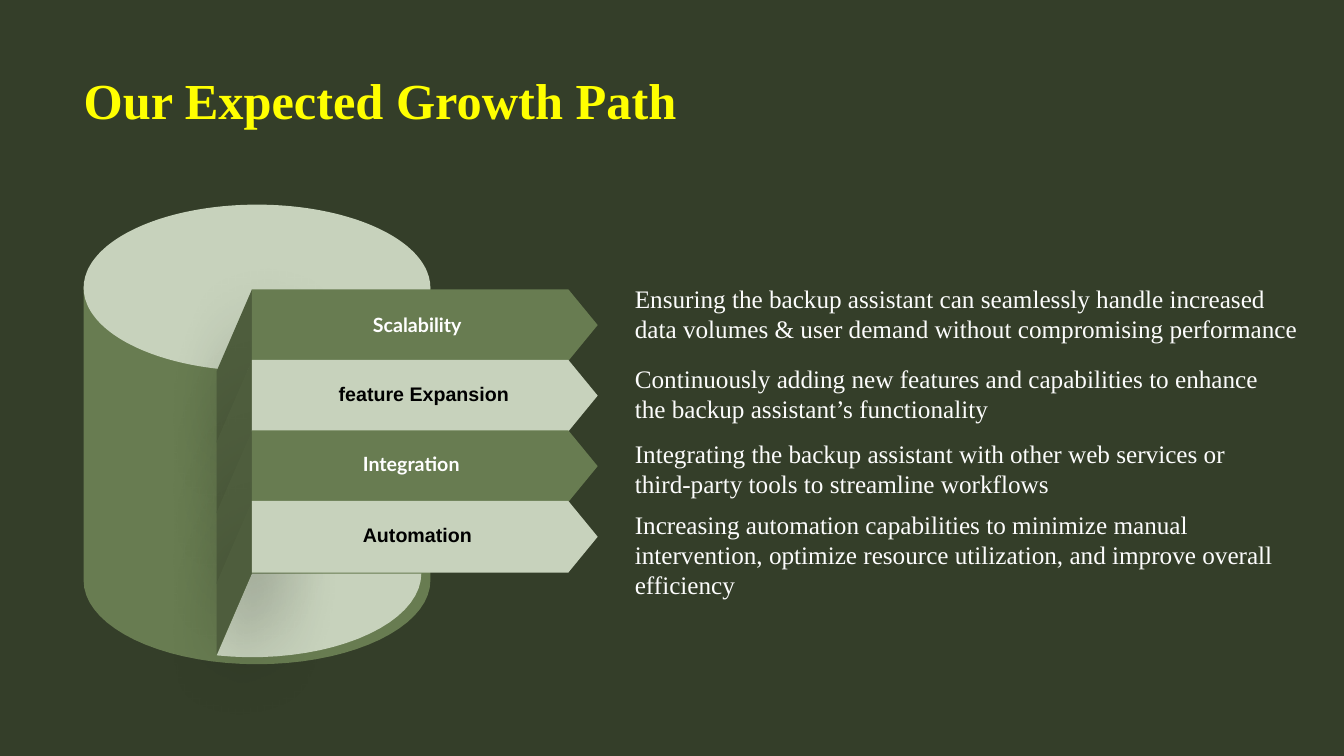
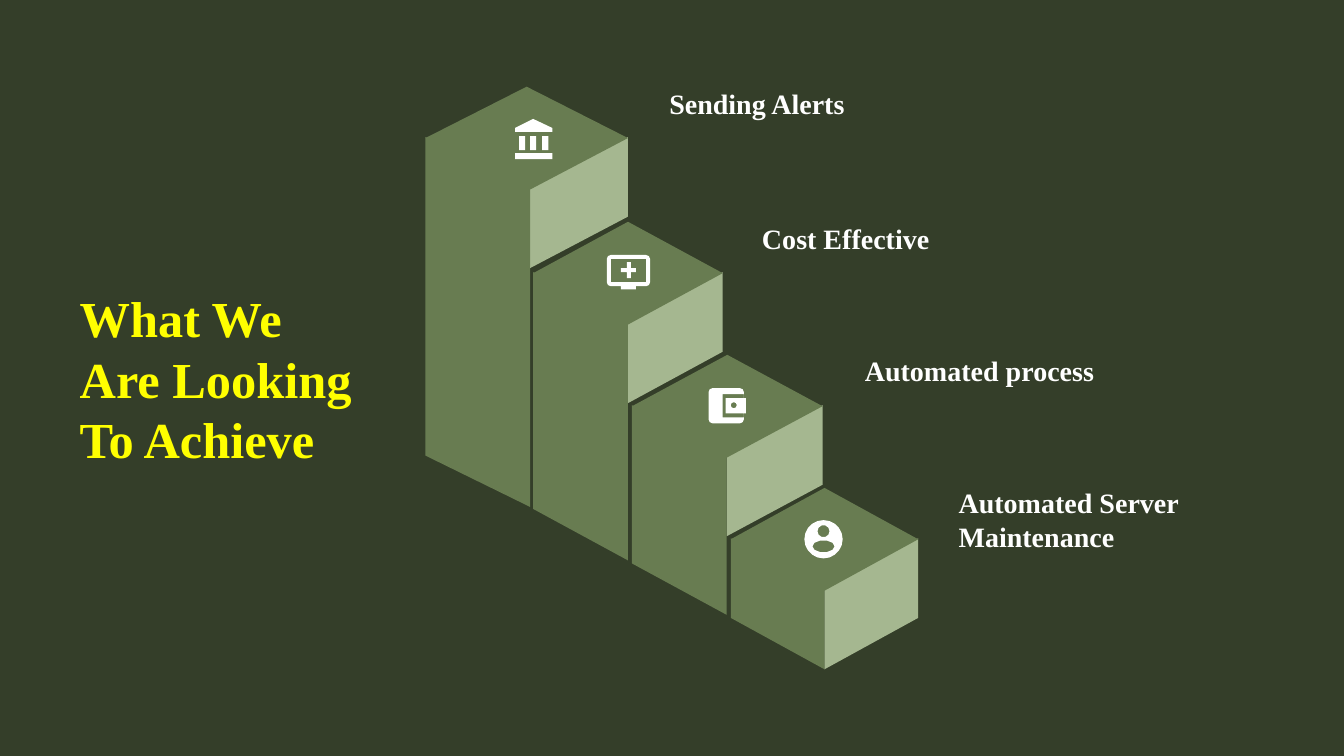
"""Build two slides: a cylinder of growth arrows and a staircase of goals."""
import math
from dataclasses import dataclass

import lxml.etree
import pptx
import pptx.dml.color
import pptx.enum.shapes
import pptx.enum.text
import pptx.oxml.ns
import pptx.presentation
import pptx.shapes.base
import pptx.slide
import pptx.text.text
import pptx.util

PX = 9144
Contour = list[tuple[float, float]]


@dataclass(frozen=True)
class Theme:
    background: str = "343E29"
    green: str = "687C51"
    dark_green: str = "4E5D3D"
    light_green: str = "A5B790"
    pale_green: str = "C7D2BC"
    yellow: str = "FFFF00"
    white: str = "FFFFFF"
    off_white: str = "FCFCFC"
    black: str = "000000"
    serif: str = "Times New Roman"
    title_size: int = 36
    goal_size: int = 20
    body_size: int = 18
    label_size: int = 14


THEME = Theme()


@dataclass(frozen=True)
class Box:
    left: int
    top: int
    width: int
    height: int


@dataclass(frozen=True)
class TextStyle:
    size: int
    color: str
    font: str = THEME.serif
    bold: bool = True


@dataclass(frozen=True)
class Stage:
    label: str
    label_box: Box
    fill: str
    style: TextStyle
    detail: str
    detail_box: Box


@dataclass(frozen=True)
class Step:
    left: int
    mid: int
    right: int
    top: int
    foot: int
    label: str
    label_box: Box
    icon: list[Contour]


TITLE = TextStyle(THEME.title_size, THEME.yellow)
DETAIL = TextStyle(THEME.body_size, THEME.off_white, bold=False)
GOAL = TextStyle(THEME.goal_size, THEME.white)
ON_GREEN = TextStyle(THEME.label_size, THEME.white, "Lato")
ON_PALE = TextStyle(THEME.label_size, THEME.black, "Arial")


def px(value: float) -> pptx.util.Emu:
    return pptx.util.Emu(round(value * PX))


def bounds(box: Box) -> tuple[pptx.util.Emu, ...]:
    return px(box.left), px(box.top), px(box.width), px(box.height)


def rgb(color: str) -> pptx.dml.color.RGBColor:
    return pptx.dml.color.RGBColor.from_string(color)


def arc(cx: int, cy: int, rx: int, ry: int, count: int,
        start: int = 0, end: int = 360) -> Contour:
    angles = [math.radians(start + (end - start) * i / count) for i in range(count + 1)]
    return [(cx + rx * math.cos(a), cy + ry * math.sin(a)) for a in angles]


def ring(cx: int, cy: int, rx: int, ry: int, count: int) -> Contour:
    return arc(cx, cy, rx, ry, count)[:-1]


def rect(left: int, top: int, width: int, height: int) -> Contour:
    right, bottom = left + width, top + height
    return [(left, top), (right, top), (right, bottom), (left, bottom)]


def rounded(left: int, top: int, width: int, height: int, r: int) -> Contour:
    corners = rect(left + r, top + r, width - 2 * r, height - 2 * r)
    return [pt for i, (x, y) in enumerate(corners)
            for pt in arc(x, y, r, r, 2, 180 + 90 * i, 270 + 90 * i)]


def paint(sp: pptx.shapes.base.BaseShape, color: str) -> None:
    sp.shadow.inherit = False
    sp.fill.solid()
    sp.fill.fore_color.rgb = rgb(color)
    sp.line.fill.background()


def draw_outline(slide: pptx.slide.Slide, contours: list[Contour],
                 color: str) -> pptx.shapes.base.BaseShape:
    builder = None
    for contour in contours:
        points = [(px(x), px(y)) for x, y in contour]
        if builder is None:
            builder = slide.shapes.build_freeform(*points[0], scale=1.0)
        else:
            builder.move_to(*points[0])
        builder.add_line_segments(points[1:], close=True)
    sp = builder.convert_to_shape()
    paint(sp, color)
    return sp


def draw_preset(slide: pptx.slide.Slide, kind: pptx.enum.shapes.MSO_SHAPE,
                box: Box, color: str) -> pptx.shapes.base.BaseShape:
    sp = slide.shapes.add_shape(kind, *bounds(box))
    paint(sp, color)
    return sp


def add_soft_shadow(sp: pptx.shapes.base.BaseShape) -> None:
    qn = pptx.oxml.ns.qn
    effects = sp.element.spPr.find(qn("a:effectLst"))
    shadow = lxml.etree.SubElement(
        effects, qn("a:outerShdw"), blurRad=str(pptx.util.Pt(52)),
        dist=str(pptx.util.Pt(20)), dir="2700000", algn="tl", rotWithShape="0")
    color = lxml.etree.SubElement(shadow, qn("a:srgbClr"), val=THEME.black)
    lxml.etree.SubElement(color, qn("a:alpha"), val="40000")


def write(tf: pptx.text.text.TextFrame, text: str,
          style: TextStyle) -> pptx.text.text._Paragraph:
    tf.word_wrap = True
    tf.auto_size = pptx.enum.text.MSO_AUTO_SIZE.NONE
    p = tf.paragraphs[0]
    p.alignment = pptx.enum.text.PP_ALIGN.LEFT
    r = p.add_run()
    r.text = text
    r.font.name = style.font
    r.font.size = pptx.util.Pt(style.size)
    r.font.bold = style.bold
    r.font.color.rgb = rgb(style.color)
    return p


def clear_margins(tf: pptx.text.text.TextFrame) -> None:
    tf.margin_left = tf.margin_top = tf.margin_right = tf.margin_bottom = 0


def add_text(slide: pptx.slide.Slide, box: Box, text: str, style: TextStyle,
             inset: bool = False) -> None:
    tf = slide.shapes.add_textbox(*bounds(box)).text_frame
    if not inset:
        clear_margins(tf)
    write(tf, text, style)


def add_titled_slide(prs: pptx.presentation.Presentation, text: str, box: Box,
                     leading: int) -> pptx.slide.Slide:
    slide = prs.slides.add_slide(prs.slide_layouts[5])
    sp = slide.shapes.title
    sp.left, sp.top, sp.width, sp.height = bounds(box)
    tf = sp.text_frame
    clear_margins(tf)
    tf.vertical_anchor = pptx.enum.text.MSO_ANCHOR.MIDDLE
    write(tf, text, TITLE).line_spacing = pptx.util.Pt(leading)
    return slide


STAGES = [
    Stage("Scalability", Box(370, 310, 364, 24), THEME.green, ON_GREEN,
          "Ensuring the backup assistant can seamlessly handle increased data volumes "
          "& user demand without compromising performance", Box(620, 276, 684, 71)),
    Stage("feature Expansion", Box(336, 379, 351, 24), THEME.pale_green, ON_PALE,
          "Continuously adding new features and capabilities to enhance the backup "
          "assistant’s functionality", Box(620, 355, 667, 71)),
    Stage("Integration", Box(360, 448, 260, 24), THEME.green, ON_GREEN,
          "Integrating the backup assistant with other web services or third-party "
          "tools to streamline workflows", Box(620, 430, 667, 71)),
    Stage("Automation", Box(360, 519, 294, 24), THEME.pale_green, ON_PALE,
          "Increasing automation capabilities to minimize manual intervention, optimize "
          "resource utilization, and improve overall efficiency", Box(620, 500, 667, 101)),
]

BANK = [
    [(529, 118), (548, 127), (548, 131), (511, 131), (511, 127)],
    *[rect(x, 135, 6, 14) for x in (515, 526, 538)],
    rect(511, 152, 37, 6),
]
MONITOR = [
    rounded(602, 253, 43, 31, 4), rect(606, 257, 35, 23), rect(616, 284, 15, 3),
    [(622, 260), (626, 260), (626, 266), (631, 266), (631, 270), (626, 270),
     (626, 276), (622, 276), (622, 270), (616, 270), (616, 266), (622, 266)],
]
WALLET = [
    rounded(703, 385, 35, 35, 4), rect(717, 391, 21, 23),
    rect(720, 395, 20, 15), ring(728, 402, 3, 3, 8),
]
PERSON = [ring(817, 535, 19, 19, 20), ring(817, 527, 6, 6, 10), ring(817, 542, 11, 6, 10)]

STEPS = [
    Step(422, 526, 623, 86, 452, "Sending Alerts", Box(664, 86, 244, 34), BANK),
    Step(529, 623, 717, 220, 505, "Cost Effective", Box(756, 220, 244, 34), MONITOR),
    Step(627, 721, 816, 352, 559, "Automated process", Box(858, 351, 282, 34), WALLET),
    Step(725, 818, 911, 484, 613, "Automated Server Maintenance",
         Box(951, 482, 362, 69), PERSON),
]


def build_growth_path(prs: pptx.presentation.Presentation) -> None:
    slide = add_titled_slide(prs, "Our Expected Growth Path", Box(83, 69, 1010, 58), 44)
    shapes = pptx.enum.shapes.MSO_SHAPE
    draw_outline(slide, [[(83, 285), (427, 285), *arc(255, 576, 172, 83, 36, 0, 180)]],
                 THEME.green)
    draw_preset(slide, shapes.OVAL, Box(83, 203, 344, 165), THEME.pale_green)
    draw_outline(slide, [[(250, 569), *arc(250, 569, 168, 83, 20, 0, 102)]],
                 THEME.pale_green)
    first, pitch, height, front, back = 287, 70, 71, 215, 250
    tops = [first + pitch * i for i in range(len(STAGES))]
    for top in tops:
        side = [(back, top), (front, top + 81), (front, top + 81 + height),
                (back, top + height)]
        add_soft_shadow(draw_outline(slide, [side], THEME.dark_green))
    for top, stage in zip(tops, STAGES):
        arrow = draw_preset(slide, shapes.PENTAGON, Box(back, top, 343, height), stage.fill)
        arrow.adjustments[0] = 0.41
    for stage in STAGES:
        add_text(slide, stage.label_box, stage.label, stage.style)
        add_text(slide, stage.detail_box, stage.detail, DETAIL, inset=True)


def build_goals(prs: pptx.presentation.Presentation) -> None:
    slide = add_titled_slide(prs, "What We Are Looking To Achieve",
                             Box(79, 284, 285, 182), 43)
    rise, riser, overlap = 51, 79, 1
    for step in STEPS:
        shoulder, front = step.top + rise - overlap, step.top + 2 * rise - overlap
        apex = (step.left + step.right) / 2
        draw_outline(slide, [[(step.mid, front), (step.right, shoulder),
                              (step.right, shoulder + riser), (step.mid, front + riser)]],
                     THEME.light_green)
        draw_outline(slide, [[(step.left, shoulder), (step.mid, front),
                              (step.mid, step.foot + rise), (step.left, step.foot)]],
                     THEME.green)
        draw_outline(slide, [[(step.left, shoulder + overlap), (apex, step.top),
                              (step.right, shoulder + overlap),
                              (step.mid, front + overlap)]], THEME.green)
        draw_outline(slide, step.icon, THEME.white)
        add_text(slide, step.label_box, step.label, GOAL)


def main() -> None:
    prs = pptx.Presentation()
    prs.slide_width, prs.slide_height = px(750 * 16 / 9), px(750)
    fill = prs.slide_master.background.fill
    fill.solid()
    fill.fore_color.rgb = rgb(THEME.background)
    build_growth_path(prs)
    build_goals(prs)
    prs.save("out.pptx")


if __name__ == "__main__":
    main()
